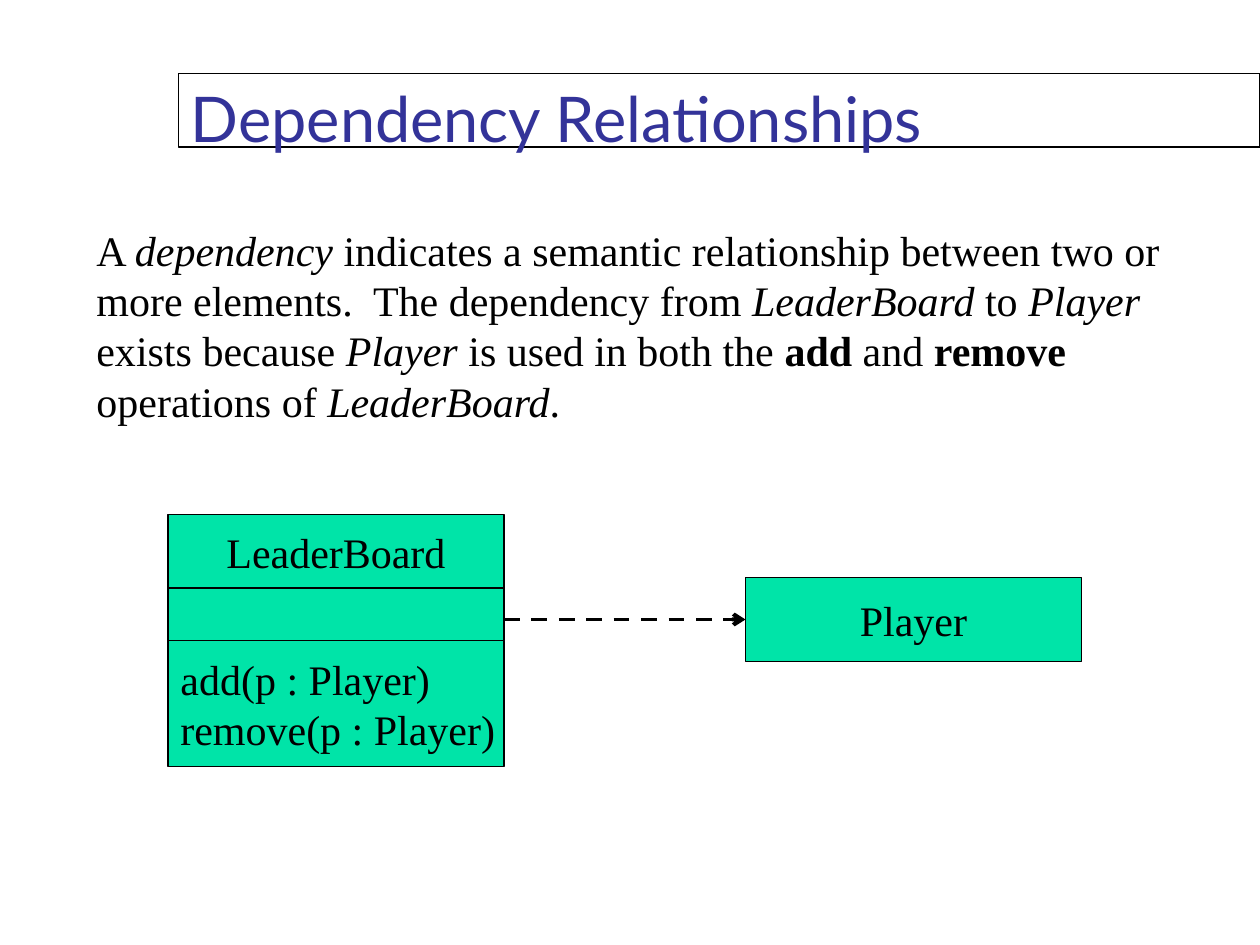
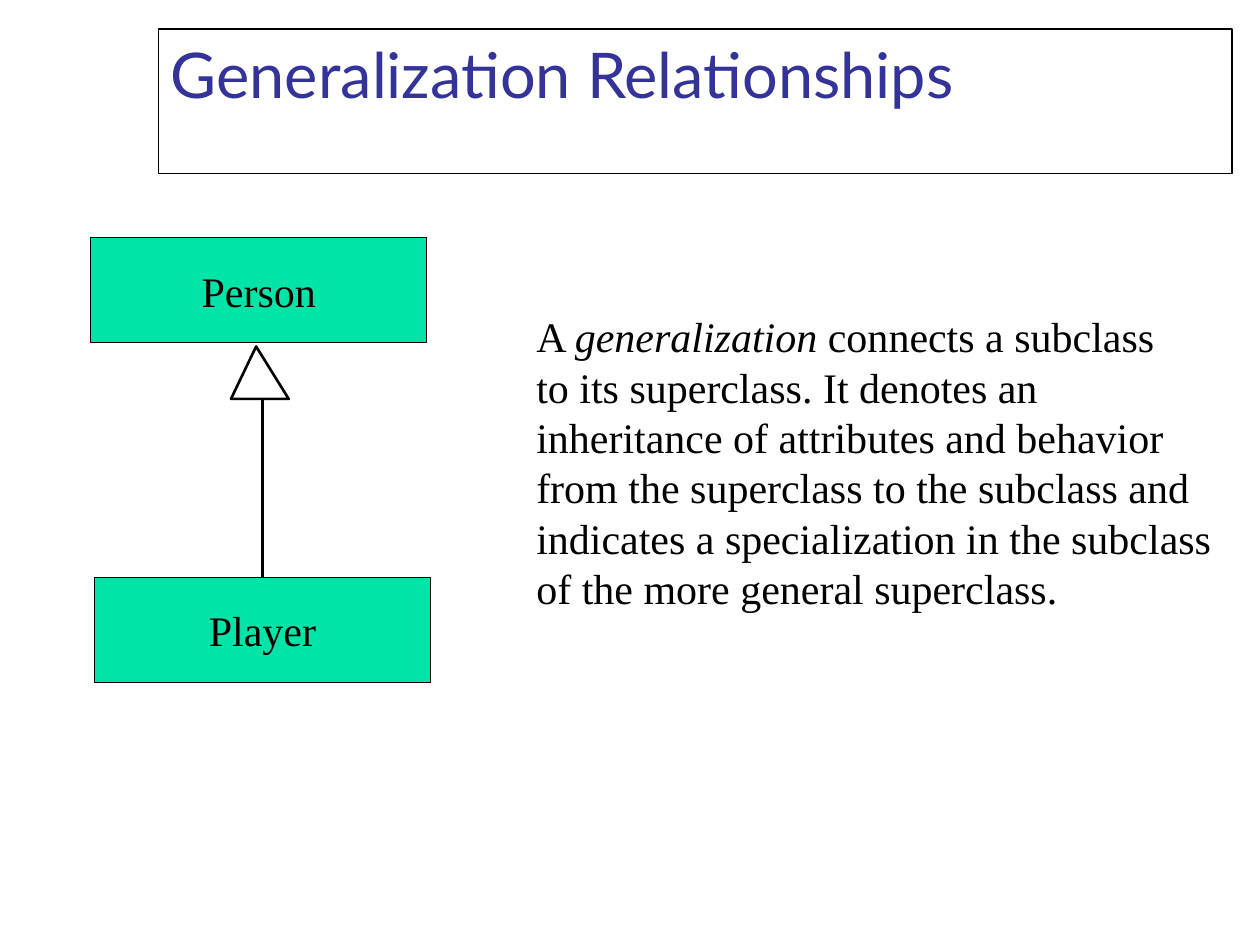
from dataclasses import dataclass
from typing import NamedTuple

from lxml.etree import SubElement
from pptx import Presentation
from pptx.dml.color import RGBColor
from pptx.enum.dml import MSO_LINE
from pptx.enum.shapes import MSO_CONNECTOR, MSO_SHAPE
from pptx.enum.text import MSO_ANCHOR, PP_ALIGN
from pptx.oxml.ns import qn
from pptx.util import Inches, Pt

BLACK = RGBColor(0x00, 0x00, 0x00)
WHITE = RGBColor(0xFF, 0xFF, 0xFF)
GREEN = RGBColor(0x00, 0xE4, 0xA8)
INDIGO = RGBColor(0x33, 0x33, 0x99)

WIDTH, HEIGHT = Inches(10), Inches(7.5)
COLS, ROWS = 120, 90
BOX_COLS = 32

TITLE = {"name": "Lato", "size": Pt(36), "color": INDIGO}
BODY = {"name": "Times New Roman", "size": Pt(24), "color": BLACK}


class Area(NamedTuple):
    """A place on the grid, in columns and rows."""
    col: float
    row: float
    cols: float
    rows: float


class Run(NamedTuple):
    text: str
    mark: str = ""


@dataclass(frozen=True)
class Box:
    area: Area
    lines: tuple[str, ...] = ()
    align: PP_ALIGN = PP_ALIGN.CENTER


def across(col: float) -> int:
    return round(WIDTH * col / COLS)


def down(row: float) -> int:
    return round(HEIGHT * row / ROWS)


def place(area: Area) -> tuple[int, int, int, int]:
    return across(area.col), down(area.row), across(area.cols), down(area.rows)


def write(frame, lines, style: dict, align=PP_ALIGN.LEFT) -> None:
    """Fill a text frame; each line is a list of runs."""
    for index, runs in enumerate(lines):
        para = frame.add_paragraph() if index else frame.paragraphs[0]
        para.alignment = align
        for part in runs:
            run = para.add_run()
            run.text = part.text
            for key, value in style.items():
                if key == "color":
                    run.font.color.rgb = value
                else:
                    setattr(run.font, key, value)
            if part.mark:
                setattr(run.font, part.mark, True)


def paint(shape, fill: RGBColor, width: float = 0.75) -> None:
    shape.shadow.inherit = False
    shape.fill.solid()
    shape.fill.fore_color.rgb = fill
    shape.line.color.rgb = BLACK
    shape.line.width = Pt(width)


def add_rect(slide, area: Area, fill: RGBColor):
    rect = slide.shapes.add_shape(MSO_SHAPE.RECTANGLE, *place(area))
    paint(rect, fill)
    return rect


def add_title(slide, text: str, area: Area) -> None:
    frame = add_rect(slide, area, WHITE).text_frame
    frame.word_wrap = True
    frame.vertical_anchor = MSO_ANCHOR.TOP
    write(frame, [[Run(text)]], TITLE)


def add_box(slide, box: Box):
    rect = add_rect(slide, box.area, GREEN)
    frame = rect.text_frame
    frame.word_wrap = False
    frame.vertical_anchor = MSO_ANCHOR.MIDDLE
    write(frame, [[Run(line)] for line in box.lines], BODY, box.align)
    return rect


def add_prose(slide, area: Area, lines, wrap: bool) -> None:
    frame = slide.shapes.add_textbox(*place(area)).text_frame
    frame.word_wrap = wrap
    write(frame, lines, BODY)


def add_link(slide, col: float, row: float, goal, side: int, width: float):
    """Draw a straight line from a grid point to the side of a box."""
    start = across(col), down(row)
    link = slide.shapes.add_connector(MSO_CONNECTOR.STRAIGHT, *start, *start)
    link.end_connect(goal, side)
    link.line.color.rgb = BLACK
    link.line.width = Pt(width)
    SubElement(link._element.spPr, qn("a:effectLst"))
    return link


def add_peak(slide, points) -> None:
    """Draw the hollow triangle that points at the superclass."""
    first, *rest = [(across(col), down(row)) for col, row in points]
    path = slide.shapes.build_freeform(*first)
    path.add_line_segments(rest, close=True)
    paint(path.convert_to_shape(), WHITE, 1.5)


def show_dependency(slide) -> None:
    add_title(slide, "Dependency Relationships", Area(17, 7, 103, 7))
    board = (
        Box(Area(16, 49, BOX_COLS, 7), ("LeaderBoard",)),
        Box(Area(16, 56, BOX_COLS, 5)),
        Box(Area(16, 61, BOX_COLS, 12),
            ("add(p : Player)", "remove(p : Player)"), PP_ALIGN.LEFT),
    )
    for box in board:
        add_box(slide, box)
    player = add_box(slide, Box(Area(71, 55, BOX_COLS, 8), ("Player",)))
    link = add_link(slide, 16 + BOX_COLS, 59, player, 1, 2.25)
    link.line.dash_style = MSO_LINE.DASH
    SubElement(link.line._get_or_add_ln(), qn("a:tailEnd"), type="arrow")
    add_prose(slide, Area(8, 20.75, 106.4, 25.2), [
        [Run("A "), Run("dependency", "italic"),
         Run(" indicates a semantic relationship between two or")],
        [Run("more elements.  The dependency from "),
         Run("LeaderBoard", "italic"), Run(" to "), Run("Player", "italic"),
         Run(" exists because "), Run("Player", "italic"),
         Run(" is used in both the "), Run("add", "bold"), Run(" and "),
         Run("remove", "bold"), Run(" operations of "),
         Run("LeaderBoard", "italic"), Run(".")],
    ], wrap=True)


def show_generalization(slide) -> None:
    add_title(slide, "Generalization Relationships",
              Area(15.1, 2.75, 102.25, 13.8))
    add_box(slide, Box(Area(8.65, 22.65, BOX_COLS, 10), ("Person",)))
    add_prose(slide, Area(49.9, 29, 66.7, 30), [
        [Run("A "), Run("generalization", "italic"),
         Run(" connects a subclass")],
        [Run("to its superclass. It denotes an")],
        [Run("inheritance of attributes and behavior")],
        [Run("from the superclass to the subclass and")],
        [Run("indicates a specialization in the subclass")],
        [Run("of the more general superclass.")],
    ], wrap=False)
    player = add_box(slide, Box(Area(9, 55, BOX_COLS, 10), ("Player",)))
    add_link(slide, 9 + BOX_COLS / 2, 38, player, 0, 1.5)
    add_peak(slide, ((24.4, 33), (22, 38), (27.5, 38)))


def main() -> None:
    deck = Presentation()
    deck.slide_width, deck.slide_height = WIDTH, HEIGHT
    blank = deck.slide_layouts[6]
    for show in (show_dependency, show_generalization):
        show(deck.slides.add_slide(blank))
    deck.save("out.pptx")


if __name__ == "__main__":
    main()
